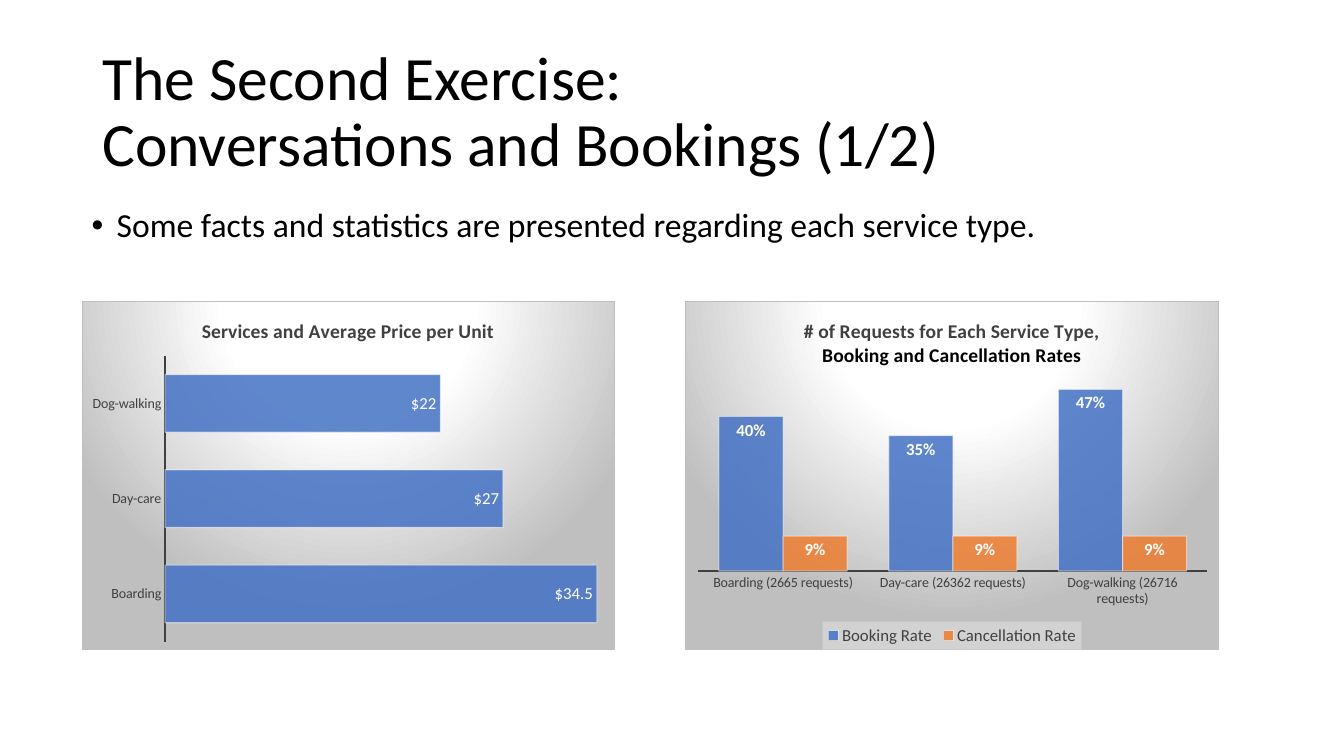
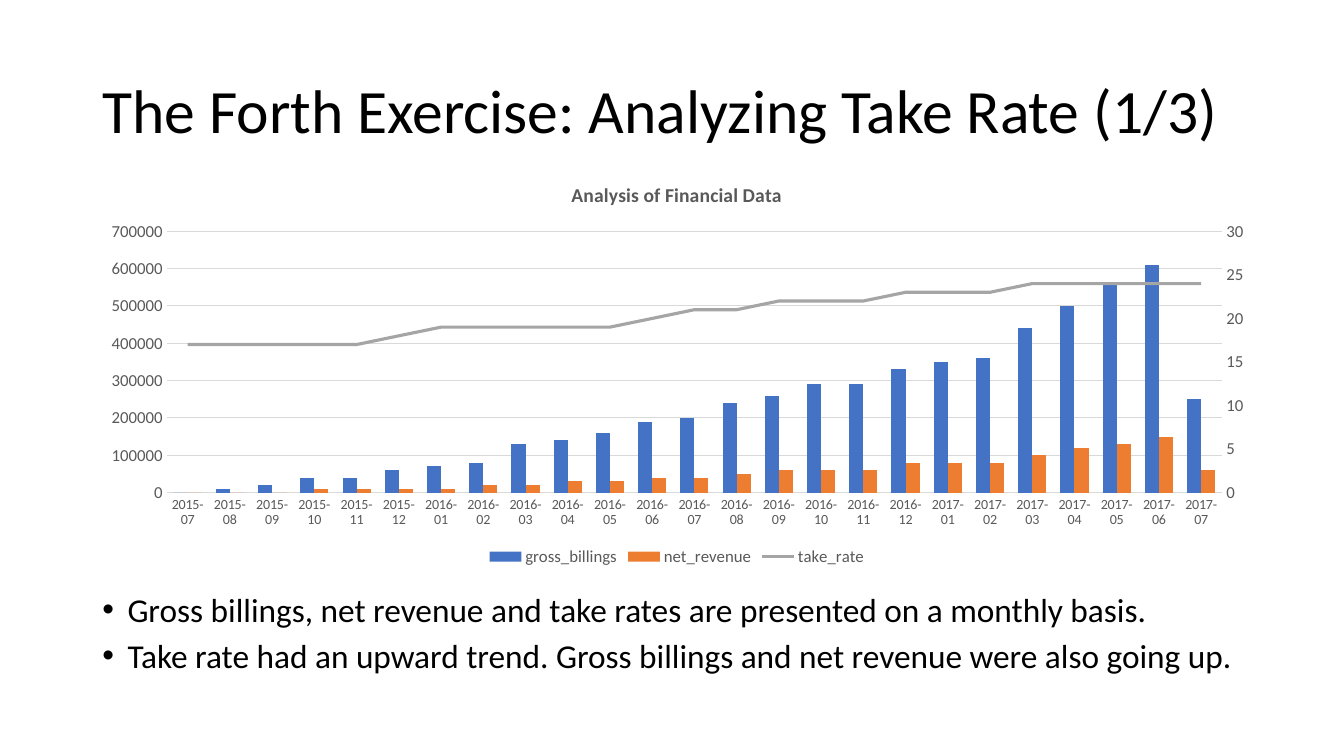
"""Build two slides on service bookings and take rate."""
from pptx import Presentation
from pptx import util as u
from pptx.chart import axis as chart_axis
from pptx.chart import data as chart_data
from pptx.dml.color import RGBColor
from pptx.enum import chart as ch, text as tx
from pptx.oxml import parse_xml
from pptx.oxml.ns import nsdecls, qn

BLACK = RGBColor(0x00, 0x00, 0x00)
WHITE = RGBColor(0xFF, 0xFF, 0xFF)
CHARCOAL = RGBColor(0x40, 0x40, 0x40)
GRAY = RGBColor(0x59, 0x59, 0x59)
PALE = RGBColor(0xD9, 0xD9, 0xD9)
SILVER = RGBColor(0xBF, 0xBF, 0xBF)
MIST = RGBColor(0xF2, 0xF2, 0xF2)
BLUE = RGBColor(0x44, 0x72, 0xC4)
ORANGE = RGBColor(0xED, 0x7D, 0x31)
STEEL = RGBColor(0xA5, 0xA5, 0xA5)
NS = nsdecls("c", "a")

PLAIN_PANEL = f"<c:spPr {NS}><a:noFill/><a:ln><a:noFill/></a:ln></c:spPr>"
GLOW_PANEL = f"""<c:spPr {NS}><a:gradFill><a:gsLst>
<a:gs pos="0"><a:srgbClr val="{WHITE}"/></a:gs>
<a:gs pos="39000"><a:srgbClr val="{WHITE}"/></a:gs>
<a:gs pos="100000"><a:srgbClr val="{SILVER}"/></a:gs></a:gsLst>
<a:path path="circle"><a:fillToRect l="50000" t="-80000" r="50000" b="180000"/></a:path>
</a:gradFill><a:ln w="9525"><a:solidFill><a:srgbClr val="{SILVER}"/></a:solidFill></a:ln></c:spPr>"""
LEGEND_PANEL = f"""<c:spPr {NS}><a:solidFill><a:srgbClr val="{MIST}">
<a:alpha val="39000"/></a:srgbClr></a:solidFill></c:spPr>"""
RATE_LINE = f"""<c:lineChart {NS}><c:grouping val="standard"/><c:varyColors val="0"/>
<c:marker val="1"/><c:axId val="5001"/><c:axId val="5002"/></c:lineChart>"""
RATE_MONTHS = f"""<c:catAx {NS}><c:axId val="5001"/>
<c:scaling><c:orientation val="minMax"/></c:scaling><c:delete val="1"/>
<c:axPos val="b"/><c:majorTickMark val="none"/><c:minorTickMark val="none"/>
<c:tickLblPos val="nextTo"/><c:crossAx val="5002"/><c:crosses val="autoZero"/></c:catAx>"""
RATE_SCALE = f"""<c:valAx {NS}><c:axId val="5002"/>
<c:scaling><c:orientation val="minMax"/></c:scaling><c:delete val="0"/>
<c:axPos val="r"/><c:numFmt formatCode="General" sourceLinked="0"/>
<c:majorTickMark val="none"/><c:minorTickMark val="none"/>
<c:tickLblPos val="nextTo"/><c:crossAx val="5001"/><c:crosses val="max"/></c:valAx>"""


class Deck:
    """Holds the shared style and the current slide."""

    FONT = "Calibri"

    def __init__(self):
        self.show = Presentation()
        self.show.slide_width, self.show.slide_height = u.Pt(960), u.Pt(540)
        self.slide = None

    def style(self, font, size, color, bold=False):
        font.name, font.size, font.bold = self.FONT, u.Pt(size), bold
        font.color.rgb = color

    def run(self, paragraph, words, size, color=BLACK, bold=False):
        piece = paragraph.add_run()
        piece.text = words
        self.style(piece.font, size, color, bold)

    def frame(self, box):
        frame = self.slide.shapes.add_textbox(*map(u.Pt, box)).text_frame
        frame.word_wrap = True
        return frame

    def new_slide(self, *title_lines):
        self.slide = self.show.slides.add_slide(self.show.slide_layouts[6])
        frame = self.frame((66, 28.8, 828, 104.4))
        frame.vertical_anchor = tx.MSO_ANCHOR.MIDDLE
        heading = frame.paragraphs[0]
        heading.line_spacing = 0.9
        for row, words in enumerate(title_lines):
            if row:
                heading.add_line_break()
            self.run(heading, words, 44)

    def bullets(self, box, points, size, spacing):
        frame = self.frame(box)
        for row, words in enumerate(points):
            point = frame.add_paragraph() if row else frame.paragraphs[0]
            point.line_spacing, point.space_before = spacing, u.Pt(10)
            props = point._p.get_or_add_pPr()
            props.set("marL", str(u.Pt(18)))
            props.set("indent", str(u.Pt(-18)))
            props.append(parse_xml(f'<a:buFont {NS} typeface="Arial"/>'))
            props.append(parse_xml(f'<a:buChar {NS} char="•"/>'))
            self.run(point, words, size)

    def chart(self, kind, box, categories, series, title, plot_box, gap, panel):
        data = chart_data.CategoryChartData()
        data.categories = categories
        for name, values in series:
            data.add_series(name, values)
        chart = self.slide.shapes.add_chart(kind, *map(u.Pt, box), data).chart
        self.style(chart.font, 10, BLACK)
        chart.has_legend = False
        chart.has_title = True
        heading = chart.chart_title.text_frame
        for row, (words, color) in enumerate(title):
            line = heading.add_paragraph() if row else heading.paragraphs[0]
            self.run(line, words, 14, color, True)
        chart.plots[0].gap_width = gap
        chart.plots[0].vary_by_categories = False
        chart.element.find(qn("c:chart")).addnext(parse_xml(panel))
        self.place_plot(chart, plot_box)
        return chart

    def place_plot(self, chart, plot_box):
        area = next(chart.element.iter(qn("c:plotArea")))
        for old in area.findall(qn("c:layout")):
            area.remove(old)
        sides = "".join(f'<c:{side} val="{share}"/>' for side, share in zip("xywh", plot_box))
        area.insert(0, parse_xml(
            f'<c:layout {NS}><c:manualLayout><c:layoutTarget val="inner"/>'
            f'<c:xMode val="edge"/><c:yMode val="edge"/>{sides}</c:manualLayout></c:layout>'))

    def category_axis(self, chart, label_color, line_color, width):
        axis = chart.category_axis
        axis.major_tick_mark = ch.XL_TICK_MARK.NONE
        axis.has_major_gridlines = False
        self.style(axis.tick_labels.font, 10, label_color)
        axis.format.line.color.rgb = line_color
        axis.format.line.width = u.Pt(width)

    def value_axis(self, axis, top, step, visible=True, grid=False):
        axis.minimum_scale, axis.maximum_scale, axis.major_unit = 0, top, step
        axis.visible = visible
        axis.major_tick_mark = ch.XL_TICK_MARK.NONE
        axis.has_major_gridlines = grid
        if grid:
            axis.major_gridlines.format.line.color.rgb = PALE
            axis.major_gridlines.format.line.width = u.Pt(0.75)
        if visible:
            self.style(axis.tick_labels.font, 12, GRAY)
            axis.format.line.fill.background()

    def legend(self, chart, color):
        chart.has_legend = True
        chart.legend.position = ch.XL_LEGEND_POSITION.BOTTOM
        chart.legend.include_in_layout = False
        self.style(chart.legend.font, 12, color)

    def color_bars(self, chart, colors):
        for bars, color in zip(chart.plots[0].series, colors):
            bars.format.fill.solid()
            bars.format.fill.fore_color.rgb = color
            bars.invert_if_negative = False

    def soften_bars(self, chart):
        for bars in chart.plots[0].series:
            bars.format.line.color.rgb = WHITE
            bars.format.line.width = u.Pt(0.75)
        for look in chart.element.iterfind(f".//{qn('c:ser')}/{qn('c:spPr')}"):
            for paint, share in zip(look.iter(qn("a:srgbClr")), (85000, 50000)):
                paint.append(parse_xml(f'<a:alpha {NS} val="{share}"/>'))

    def bar_labels(self, chart, number_format, bold):
        for bars in chart.plots[0].series:
            labels = bars.data_labels
            labels.show_value = True
            labels.position = ch.XL_LABEL_POSITION.INSIDE_END
            labels.number_format = number_format
            labels.number_format_is_linked = False
            self.style(labels.font, 12, WHITE, bold)

    def service_chart(self, kind, left, categories, series, title, plot_box,
                      top, step, number_format, bold):
        chart = self.chart(kind, (left, 215.3, 380.9, 249.1), categories, series,
                           title, plot_box, 65, GLOW_PANEL)
        self.category_axis(chart, CHARCOAL, CHARCOAL, 1.5)
        self.value_axis(chart.value_axis, top, step, visible=False)
        self.color_bars(chart, (BLUE, ORANGE))
        self.soften_bars(chart)
        self.bar_labels(chart, number_format, bold)
        return chart

    def last_series_as_line(self, chart, color, top, step):
        area = next(chart.element.iter(qn("c:plotArea")))
        bars = area.find(qn("c:barChart"))
        rate = bars.findall(qn("c:ser"))[-1]
        for flag in rate.findall(qn("c:invertIfNegative")):
            rate.remove(flag)
        line_plot = parse_xml(RATE_LINE)
        line_plot.find(qn("c:varyColors")).addnext(rate)
        bars.addnext(line_plot)
        scale = parse_xml(RATE_SCALE)
        area.findall(qn("c:valAx"))[-1].addnext(scale)
        scale.addnext(parse_xml(RATE_MONTHS))
        self.value_axis(chart_axis.ValueAxis(scale), top, step)
        line = chart.plots[1].series[0]
        line.smooth = False
        line.marker.style = ch.XL_MARKER_STYLE.NONE
        line.format.line.color.rgb = color
        line.format.line.width = u.Pt(2.25)


def bookings_slide(deck):
    deck.new_slide("The Second Exercise:", "Conversations and Bookings (1/2)")
    deck.service_chart(
        ch.XL_CHART_TYPE.BAR_CLUSTERED, 58.3, ("Boarding", "Day-care", "Dog-walking"),
        [("Series 1", (34.5, 27, 22))],
        [("Services and Average Price per Unit", CHARCOAL)],
        (0.156, 0.155, 0.823, 0.822), 35, 10, '"$"General', False)
    deck.bullets((58.3, 145.4, 828, 79.2),
                 ["Some facts and statistics are presented regarding each service type."], 24, 0.9)
    requests = deck.service_chart(
        ch.XL_CHART_TYPE.COLUMN_CLUSTERED, 489.6,
        ("Boarding (2665 requests)", "Day-care (26362 requests)", "Dog-walking (26716 requests)"),
        [("Booking Rate", (0.4, 0.35, 0.47)), ("Cancellation Rate", (0.09, 0.09, 0.09))],
        [("# of Requests for Each Service Type,", CHARCOAL),
         ("Booking and Cancellation Rates", BLACK)],
        (0.023, 0.218, 0.957, 0.556), 0.5, 0.1, "0%", True)
    deck.legend(requests, CHARCOAL)
    legend = next(requests.element.iter(qn("c:legend")))
    legend.find(qn("c:overlay")).addnext(parse_xml(LEGEND_PANEL))


def take_rate_slide(deck):
    deck.new_slide("The Forth Exercise: Analyzing Take Rate (1/3)")
    deck.bullets((66, 422.6, 869.8, 64.1),
                 ["Gross billings, net revenue and take rates are presented on a monthly basis.",
                  "Take rate had an upward trend. Gross billings and net revenue were also going up."],
                 23.8, 0.8)
    months = [f"{2015 + m // 12}-{m % 12 + 1:02d}" for m in range(6, 31)]
    billings = (0, 1, 2, 4, 4, 6, 7, 8, 13, 14, 16, 19, 20, 24, 26, 29, 29, 33, 35, 36,
                44, 50, 56, 61, 25)
    revenue = (0, 0, 0, 1, 1, 1, 1, 2, 2, 3, 3, 4, 4, 5, 6, 6, 6, 8, 8, 8, 10, 12, 13, 15, 6)
    take_rate = (17, 17, 17, 17, 17, 18, 19, 19, 19, 19, 19, 20, 21, 21, 22, 22, 22,
                 23, 23, 23, 24, 24, 24, 24, 24)
    finances = deck.chart(
        ch.XL_CHART_TYPE.COLUMN_CLUSTERED, (62.6, 117.4, 841.7, 290.2), months,
        [("gross_billings", [v * 10000 for v in billings]),
         ("net_revenue", [v * 10000 for v in revenue]), ("take_rate", take_rate)],
        [("Analysis of Financial Data", GRAY)], (0.067, 0.165, 0.896, 0.643), 100, PLAIN_PANEL)
    deck.category_axis(finances, GRAY, PALE, 0.75)
    deck.value_axis(finances.value_axis, 700000, 100000, grid=True)
    deck.last_series_as_line(finances, STEEL, 30, 5)
    deck.color_bars(finances, (BLUE, ORANGE))
    deck.legend(finances, GRAY)


def main():
    deck = Deck()
    bookings_slide(deck)
    take_rate_slide(deck)
    deck.show.save("out.pptx")


if __name__ == "__main__":
    main()
